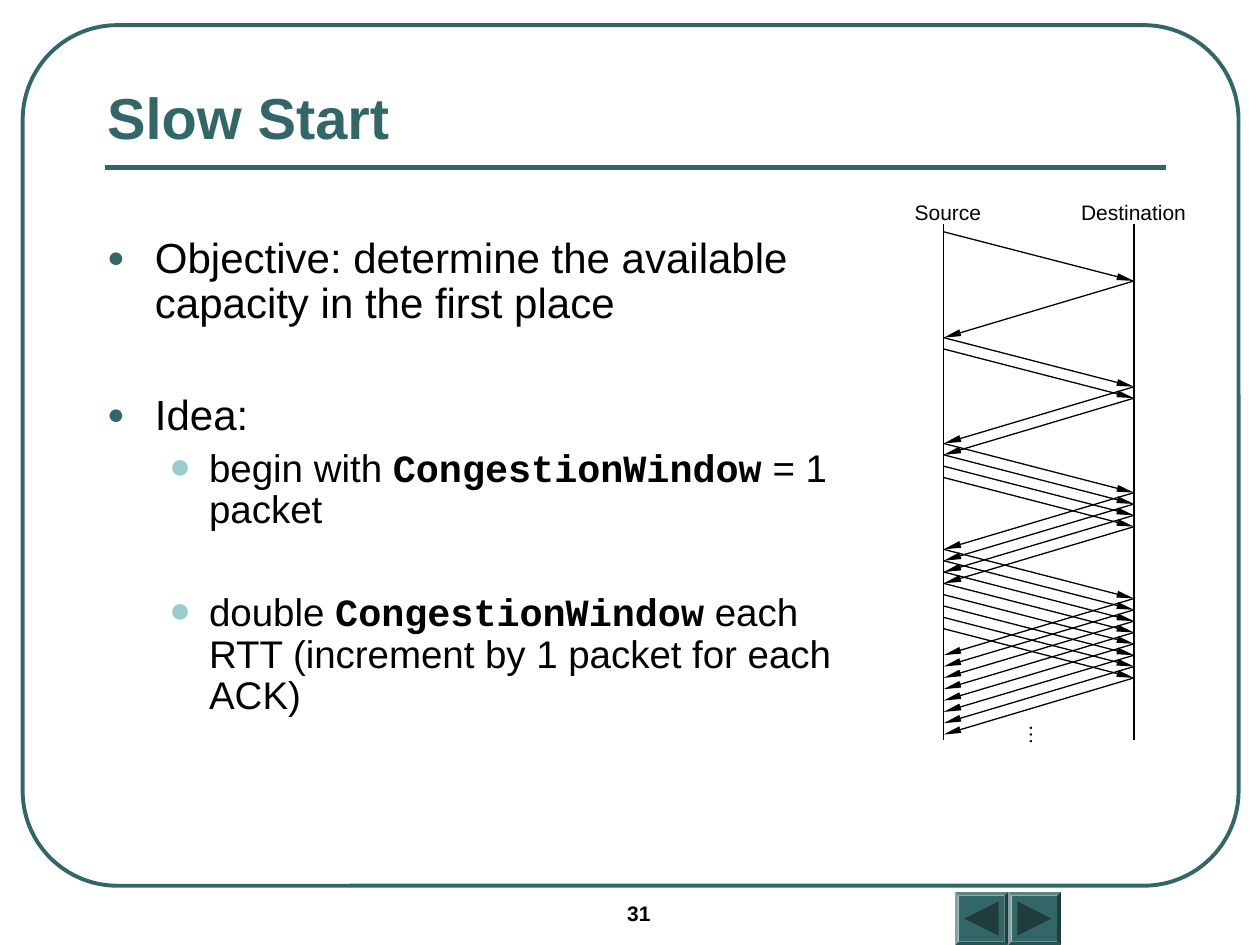
from dataclasses import dataclass

from lxml import etree
from pptx import Presentation
from pptx import util as u
from pptx.dml.color import RGBColor
from pptx.enum import shapes, text
from pptx.oxml.ns import qn


@dataclass(frozen=True)
class Theme:
    """Colours, fonts and type sizes of the slide."""
    accent: str = "336666"
    dark: str = "1F3D3D"
    light: str = "97CDCC"
    ink: str = "000000"
    sans: str = "Arial"
    mono: str = "Courier New"
    title: float = 33
    item: float = 24
    subitem: float = 22
    small: float = 12


THEME = Theme()
SOURCE_X, DESTINATION_X = 7.49, 9
FIRST_SEND, PACKET_GAP = 1.84, 0.09
DATA_DELAY, ACK_DELAY = 0.39, 0.45
ROUNDS = 4

ITEMS = [
    (0, 6, ["Objective: determine the available capacity in the first place"]),
    (0, 38, ["Idea:"]),
    (1, 5.5, ["begin with ", "CongestionWindow", " = 1 packet"]),
    (1, 35, ["double ", "CongestionWindow",
             " each RTT (increment by 1 packet for each ACK)"]),
]


def place(shape, left, top, width, height):
    """Move and size a shape in inches."""
    shape.left, shape.top = u.Inches(left), u.Inches(top)
    shape.width, shape.height = u.Inches(width), u.Inches(height)


def style_font(font, size, color=THEME.ink, bold=False):
    """Set the sans font with a size, colour and weight."""
    font.name, font.size, font.bold = THEME.sans, u.Pt(size), bold
    font.color.rgb = RGBColor.from_string(color)


def add_line(page, start, end, color=THEME.ink, width=0.75, arrow=False):
    """Draw a straight line, with an arrowhead at its end if asked."""
    line = page.shapes.add_connector(
        shapes.MSO_CONNECTOR.STRAIGHT, *map(u.Inches, (*start, *end)))
    line.line.color.rgb = RGBColor.from_string(color)
    line.line.width = u.Pt(width)
    if arrow:
        etree.SubElement(line.line._get_or_add_ln(), qn("a:tailEnd"),
                         type="triangle", w="sm", len="lg")
    etree.SubElement(line._element.spPr, qn("a:effectLst"))


def add_filled(page, kind, at, color):
    """Add a preset shape with a plain fill and no line."""
    shape = page.shapes.add_shape(kind, *map(u.Inches, at))
    shape.shadow.inherit = False
    shape.fill.solid()
    shape.fill.fore_color.rgb = RGBColor.from_string(color)
    shape.line.fill.background()
    return shape


def add_label(page, words, at, rotation=0, bold=False, inset=(0, 0)):
    """Add a small one-line label."""
    box = page.shapes.add_textbox(*map(u.Inches, at))
    box.rotation = rotation
    frame = box.text_frame
    frame.word_wrap = False
    frame.margin_left = frame.margin_right = u.Inches(inset[0])
    frame.margin_top = frame.margin_bottom = u.Inches(inset[1])
    para = frame.paragraphs[0]
    para.text = words
    style_font(para.font, THEME.small, bold=bold)


def add_bullet(para, level):
    """Give a paragraph the indent and bullet of its level."""
    indent, hang, color, size, mark = [
        (0.38, 0.38, THEME.accent, 70, "●"),
        (0.81, 0.31, THEME.light, 150, "•"),
    ][level]
    props = para._p.get_or_add_pPr()
    props.set("marL", str(u.Inches(indent)))
    props.set("indent", str(-u.Inches(hang)))
    tint = etree.SubElement(props, qn("a:buClr"))
    etree.SubElement(tint, qn("a:srgbClr"), val=color)
    etree.SubElement(props, qn("a:buSzPct"), val=str(size * 1000))
    etree.SubElement(props, qn("a:buFont"), typeface=THEME.sans)
    etree.SubElement(props, qn("a:buChar"), char=mark)


def add_frame(page):
    """Draw the rounded border and the title rule."""
    border = page.shapes.add_shape(
        shapes.MSO_SHAPE.ROUNDED_RECTANGLE,
        *map(u.Inches, (0.18, 0.2, 9.65, 6.83)))
    border.adjustments[0] = 0.11
    border.shadow.inherit = False
    border.fill.background()
    border.line.color.rgb = RGBColor.from_string(THEME.accent)
    border.line.width = u.Pt(2.25)
    add_line(page, (0.83, 1.33), (9.25, 1.33), THEME.accent, 3)


def add_buttons(page):
    """Draw the bevelled back and forward buttons."""
    side, arrow = 0.42, 0.27
    margin = (side - arrow) / 2
    for column, rotation in enumerate((270, 90)):
        left, top = 7.58 + column * side, 7.08
        button = add_filled(page, shapes.MSO_SHAPE.BEVEL,
                            (left, top, side, side), THEME.accent)
        button.adjustments[0] = 0.07
        pointer = add_filled(page, shapes.MSO_SHAPE.ISOSCELES_TRIANGLE,
                             (left + margin, top + margin, arrow, arrow),
                             THEME.dark)
        pointer.rotation = rotation


def fill_title(title):
    """Write the slide title."""
    place(title, 0.75, 0, 8.5, 1.25)
    frame = title.text_frame
    frame.vertical_anchor = text.MSO_ANCHOR.BOTTOM
    frame.auto_size = text.MSO_AUTO_SIZE.NONE
    para = frame.paragraphs[0]
    para.text = "Slow Start"
    para.alignment = text.PP_ALIGN.LEFT
    style_font(para.font, THEME.title, THEME.accent, bold=True)


def fill_body(body):
    """Write the bulleted list."""
    place(body, 0.75, 1.83, 6.25, 4.5)
    frame = body.text_frame
    frame.auto_size = text.MSO_AUTO_SIZE.NONE
    for index, (level, before, parts) in enumerate(ITEMS):
        para = frame.add_paragraph() if index else frame.paragraphs[0]
        para.level = level
        para.line_spacing = 0.9
        para.space_before = u.Pt(before)
        add_bullet(para, level)
        style_font(para.font, THEME.subitem if level else THEME.item)
        for part in parts:
            span = para.add_run()
            span.text = part
            if part == "CongestionWindow":
                span.font.name, span.font.bold = THEME.mono, True


def add_timeline(page):
    """Draw the packet exchange, doubling the burst each round trip."""
    add_label(page, "Source", (7.26, 1.58, 0.6, 0.2))
    add_label(page, "Destination", (8.58, 1.58, 0.95, 0.2))
    for x in (SOURCE_X, DESTINATION_X):
        add_line(page, (x, 1.78), (x, 5.87))
    for turn in range(ROUNDS):
        for packet in range(2 ** turn):
            sent = (FIRST_SEND + turn * (DATA_DELAY + ACK_DELAY)
                    + packet * PACKET_GAP)
            received = sent + DATA_DELAY
            add_line(page, (SOURCE_X, sent), (DESTINATION_X, received),
                     arrow=True)
            add_line(page, (DESTINATION_X, received),
                     (SOURCE_X, received + ACK_DELAY), arrow=True)
    add_label(page, "…", (8.04, 5.73, 0.17, 0.2), rotation=270)


def main():
    """Build and save the slide."""
    deck = Presentation()
    deck.slide_width, deck.slide_height = u.Inches(10), u.Inches(7.5)
    page = deck.slides.add_slide(deck.slide_layouts[1])
    add_frame(page)
    add_buttons(page)
    add_label(page, "31", (4.88, 7.1, 1.17, 0.33), bold=True,
              inset=(0.1, 0.05))
    fill_title(page.shapes.title)
    fill_body(page.placeholders[1])
    add_timeline(page)
    deck.save("out.pptx")


if __name__ == "__main__":
    main()
